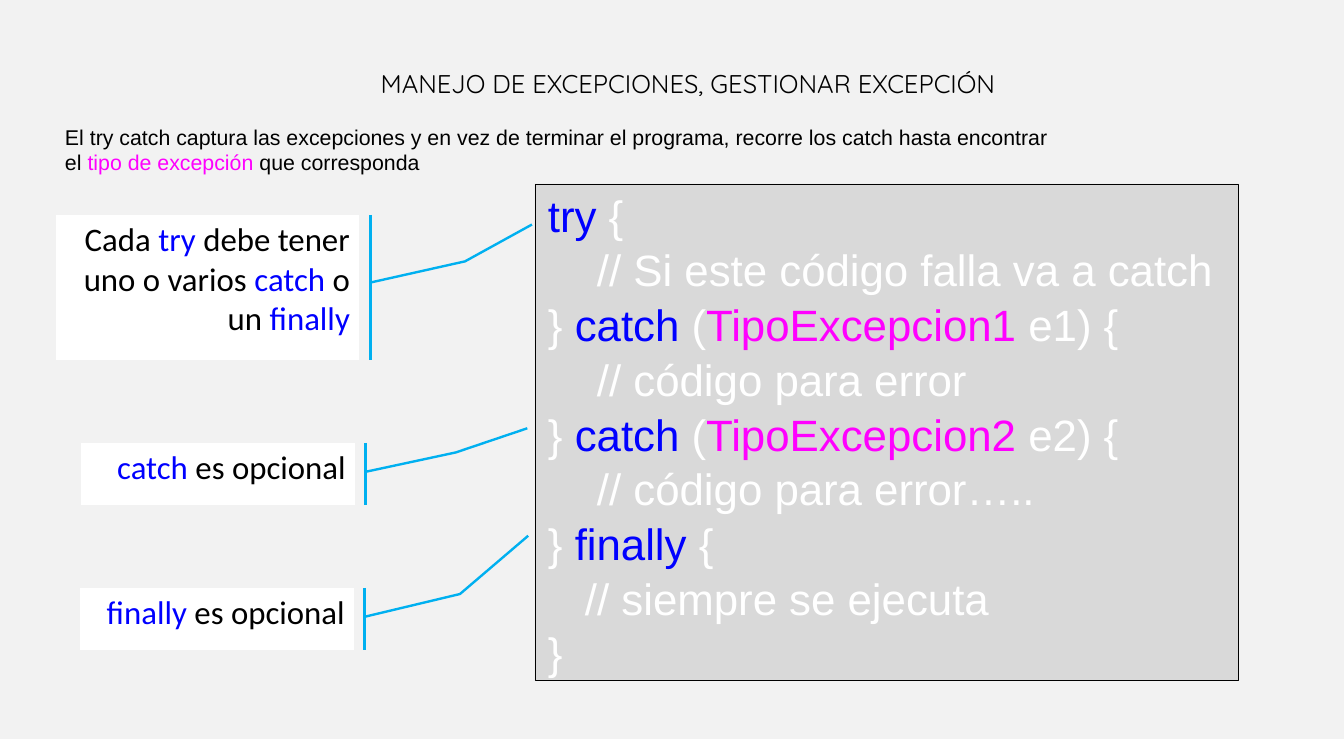
"""Build the slide on handling exceptions with try, catch and finally."""
import pptx
import pptx.dml.color
import pptx.enum.shapes
import pptx.enum.text
import pptx.util

PIXEL = 914400 / 85.33
COLORS = {
    "back": "F2F2F2", "panel": "D9D9D9", "white": "FFFFFF", "black": "000000",
    "keyword": "0000FF", "type": "FF00FF", "accent": "00B0F0",
}
ALIGN = pptx.enum.text.PP_ALIGN
SHAPE = pptx.enum.shapes.MSO_SHAPE

TITLE = "MANEJO DE EXCEPCIONES, GESTIONAR EXCEPCIÓN"
INTRO = [
    [("El try catch captura las excepciones y en vez de terminar el programa, "
      "recorre los catch hasta encontrar", "black")],
    [("el ", "black"), ("tipo de excepción ", "type"), ("que corresponda", "black")],
]
CALLOUTS = [
    ((80, 588, 274, 62), (0.466, 1.038, 0.098, 1.387, -0.842, 1.636),
     [("finally ", "keyword"), ("es opcional", "black")]),
    ((56, 215, 303, 145), (0.466, 1.038, 0.32, 1.35, 0.066, 1.571),
     [("Cada ", "black"), ("try", "keyword"), (" debe tener uno o varios ", "black"),
      ("catch", "keyword"), (" o un ", "black"), ("finally", "keyword")]),
    ((81, 443, 274, 62), (0.466, 1.038, 0.153, 1.368, -0.237, 1.629),
     [("catch", "keyword"), (" es opcional", "black")]),
]


def px(length):
    """Turn pixels into EMU."""
    return pptx.util.Emu(round(length * PIXEL))


def rgb(name):
    """Look up a named colour."""
    return pptx.dml.color.RGBColor.from_string(COLORS[name])


def write(shape, paragraphs, font, size, align=ALIGN.LEFT, margins=(9, 4),
          spacing=None, indents=None, anchor=pptx.enum.text.MSO_ANCHOR.TOP):
    """Fill a shape with paragraphs made of (text, colour) spans."""
    frame = shape.text_frame
    frame.word_wrap = True
    frame.vertical_anchor = anchor
    frame.margin_left = frame.margin_right = px(margins[0])
    frame.margin_top = frame.margin_bottom = px(margins[1])
    for index, spans in enumerate(paragraphs):
        para = frame.add_paragraph() if index else frame.paragraphs[0]
        para.alignment = align
        para.line_spacing = spacing
        if indents and indents[index]:
            para._p.get_or_add_pPr().set("marL", str(px(indents[index])))
        for text, color in spans:
            span = para.add_run()
            span.text = text
            span.font.name = font
            span.font.size = pptx.util.Pt(size)
            span.font.color.rgb = rgb(color)


def add_text(page, place, paragraphs, font, size, **style):
    """Add a text box."""
    box = page.shapes.add_textbox(*map(px, place))
    write(box, paragraphs, font, size, **style)


def add_shape(page, kind, place, fill, line, width):
    """Add a filled and outlined preset shape."""
    shape = page.shapes.add_shape(kind, *map(px, place))
    shape.shadow.inherit = False
    shape.fill.solid()
    shape.fill.fore_color.rgb = rgb(fill)
    shape.line.color.rgb = rgb(line)
    shape.line.width = pptx.util.Pt(width)
    return shape


def add_callout(page, place, bends, spans):
    """Add a note with an accent bar and a bent leader line."""
    callout = add_shape(page, SHAPE.LINE_CALLOUT_2_ACCENT_BAR, place, "white", "accent", 2)
    for index, bend in enumerate(bends):
        callout.adjustments[index] = bend
    write(callout, [spans], "Calibri", 27.7, align=ALIGN.RIGHT)


def catch_line(number):
    """Return the spans of one catch clause."""
    return [("} ", "white"), ("catch", "keyword"), (" (", "white"),
            (f"TipoExcepcion{number}", "type"), (f" e{number}) {{", "white")]


def add_code(page):
    """Add the panel with the code sample."""
    lines = [
        (0, [("try", "keyword"), (" {", "white")]),
        (49, [("// Si este código falla va a catch", "white")]),
        (0, catch_line(1)),
        (49, [("// código para error", "white")]),
        (0, catch_line(2)),
        (49, [("// código para error…..", "white")]),
        (0, [("} ", "white"), ("finally ", "keyword"), ("{", "white")]),
        (37, [("// siempre se ejecuta", "white")]),
        (0, [("}", "white")]),
    ]
    indents, paragraphs = zip(*lines)
    panel = add_shape(page, SHAPE.RECTANGLE, (535, 184, 704, 497), "panel", "black", 0.75)
    write(panel, paragraphs, "Arial", 37, margins=(13, 7), spacing=1.04,
          indents=indents, anchor=pptx.enum.text.MSO_ANCHOR.MIDDLE)


def main():
    """Build and save the deck."""
    deck = pptx.Presentation()
    deck.slide_width, deck.slide_height = px(1344), px(739)
    page = deck.slides.add_slide(deck.slide_layouts[6])
    page.background.fill.solid()
    page.background.fill.fore_color.rgb = rgb("back")
    add_text(page, (316, 58, 744, 99), [[(TITLE, "black")]], "Quicksand", 21.6,
             align=ALIGN.CENTER, margins=(13, 13), spacing=0.93)
    add_code(page)
    for place, bends, spans in CALLOUTS:
        add_callout(page, place, bends, spans)
    add_text(page, (56, 120, 1010, 60), INTRO, "Arial", 18)
    deck.save("out.pptx")


main()
